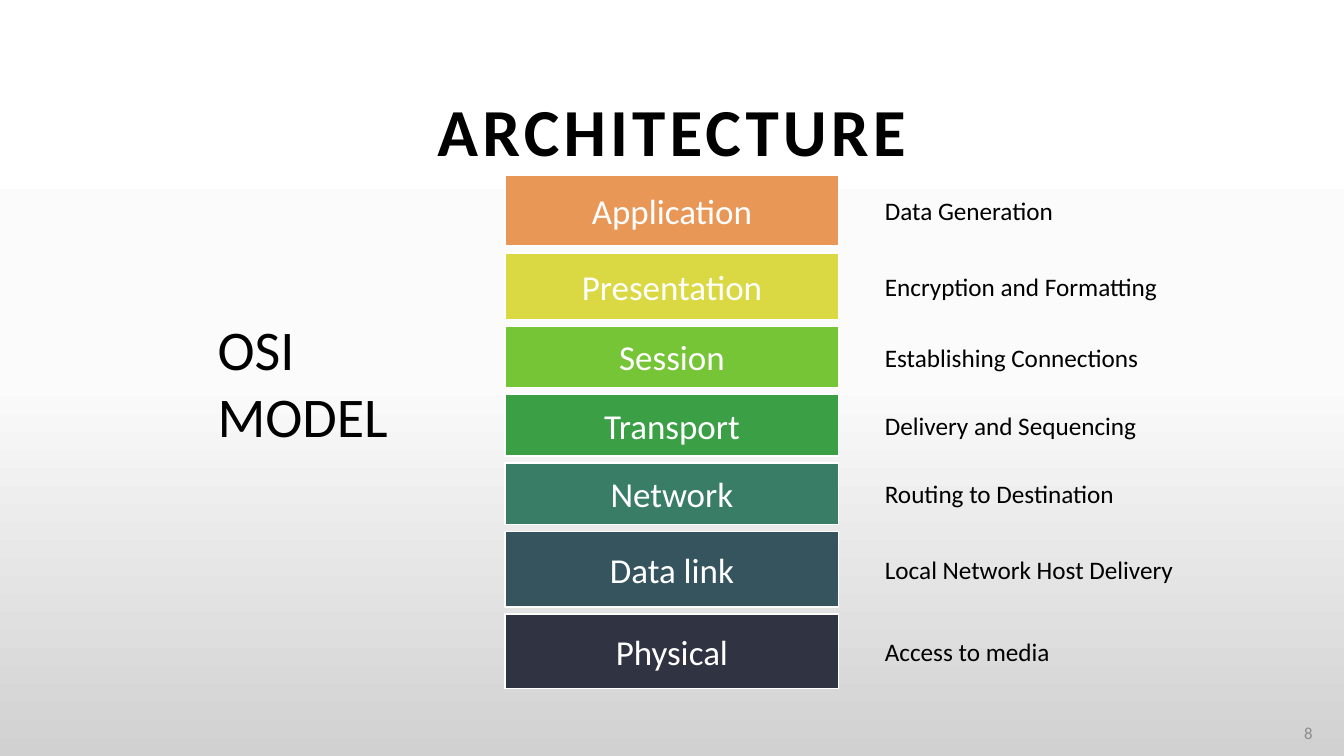
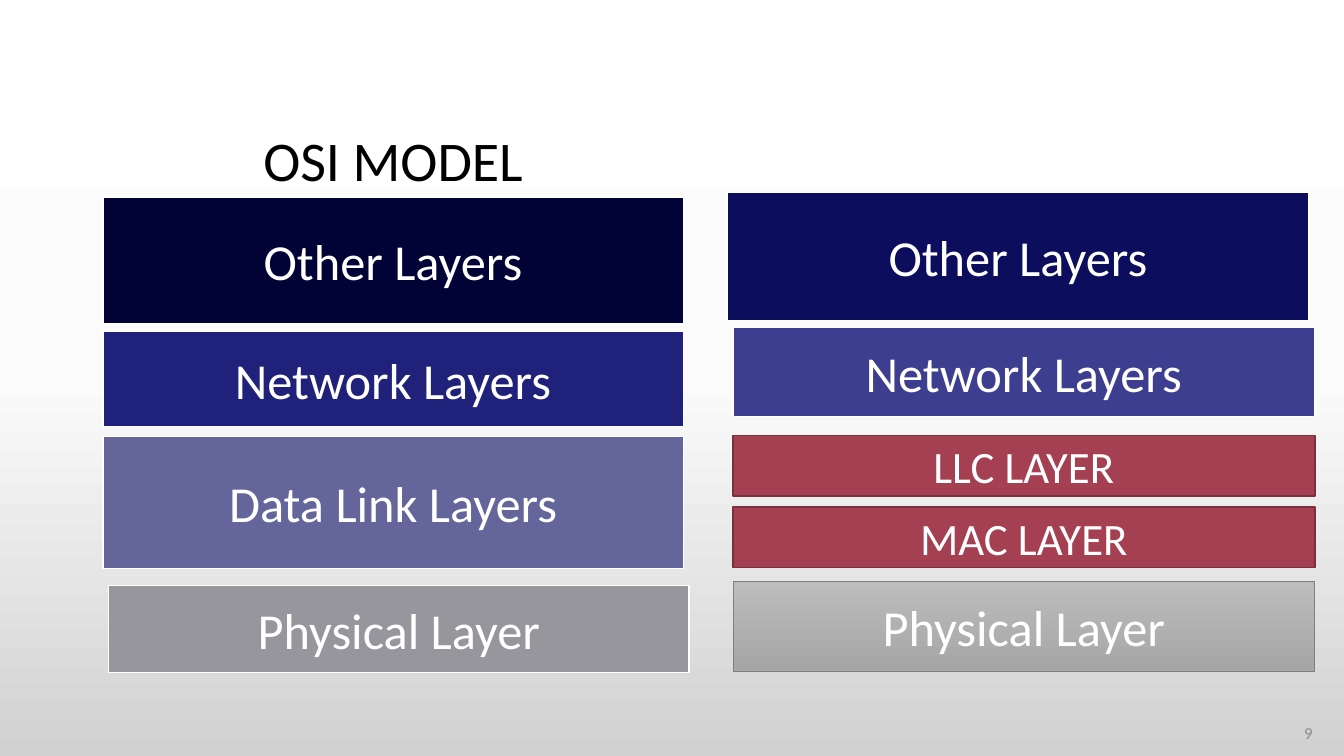
from copy import deepcopy
from dataclasses import dataclass

from pptx import Presentation
from pptx.dml.color import RGBColor
from pptx.enum.shapes import MSO_SHAPE
from pptx.enum.text import MSO_ANCHOR, MSO_AUTO_SIZE, PP_ALIGN
from pptx.util import Inches, Pt

RECT = MSO_SHAPE.RECTANGLE
MIDDLE = MSO_ANCHOR.MIDDLE
NO_FIT = MSO_AUTO_SIZE.NONE
LEFT, CENTER, RIGHT = PP_ALIGN.LEFT, PP_ALIGN.CENTER, PP_ALIGN.RIGHT

WIDTH, HEIGHT = Inches(13.33), Inches(7.5)
FONT = "Calibri"
BLACK, WHITE, MUTED = "000000", "FFFFFF", "8C8C8C"
BACKDROP = ("FFFFFF", "FBFBFB", "D1D1D1")
RED, DARK_RED = "A53F52", "7A2F3D"
TITLE_ONLY = 5
NUMBER_BOX = (94.73, 94.27, 3.68, 5.33)


@dataclass
class Band:
    label: str
    fill: tuple
    height: float
    gap: float = 0
    shift: float = 0
    size: float = 36
    line: str = WHITE
    line_width: float = 1


def rgb(color):
    return RGBColor.from_string(color)


def place(box):
    left, top, width, height = box
    return (int(WIDTH * left / 100), int(HEIGHT * top / 100),
            int(WIDTH * width / 100), int(HEIGHT * height / 100))


def paint(fill, colors):
    if len(colors) == 1:
        fill.solid()
        fill.fore_color.rgb = rgb(colors[0])
        return
    fill.gradient()
    fill.gradient_angle = 270
    for stop, color in zip(fill.gradient_stops, (colors[0], colors[-1])):
        stop.color.rgb = rgb(color)


def write(sp, text, size, color=BLACK, align=LEFT, bold=False):
    tf = sp.text_frame
    tf.text = text
    tf.word_wrap = True
    tf.auto_size = NO_FIT
    tf.vertical_anchor = MIDDLE
    p = tf.paragraphs[0]
    p.alignment = align
    r = p.runs[0]
    r.font.name = FONT
    r.font.size = Pt(size)
    r.font.bold = bold
    r.font.color.rgb = rgb(color)
    return r


def add_text(s, box, text, size, color=BLACK, align=LEFT):
    return write(s.shapes.add_textbox(*place(box)), text, size, color, align)


def set_backdrop(master):
    fill = master.background.fill
    paint(fill, BACKDROP)
    stops = master.element.xpath("./p:cSld/p:bg//a:gsLst")[0]
    stops.insert(1, deepcopy(stops[0]))
    for i, (stop, color) in enumerate(zip(fill.gradient_stops, BACKDROP)):
        stop.position = i / 2
        stop.color.rgb = rgb(color)


def add_slide(prs, number, title, title_box, size, bold=False):
    s = prs.slides.add_slide(prs.slide_layouts[TITLE_ONLY])
    sp = s.shapes.title
    sp.left, sp.top, sp.width, sp.height = place(title_box)
    r = write(sp, title, size, align=CENTER, bold=bold)
    add_text(s, NUMBER_BOX, str(number), 12, MUTED, RIGHT)
    return s, r


def band_rows(box, bands):
    left, top, width, height = box
    unit = height / sum(b.gap + b.height for b in bands)
    for b in bands:
        top += b.gap * unit
        yield b, (left + b.shift * width, top, width, b.height * unit)
        top += b.height * unit


def add_stack(s, box, bands):
    for b, row in band_rows(box, bands):
        sp = s.shapes.add_shape(RECT, *place(row))
        sp.shadow.inherit = False
        paint(sp.fill, b.fill)
        sp.line.color.rgb = rgb(b.line)
        sp.line.width = Pt(b.line_width)
        write(sp, b.label, b.size, WHITE, CENTER)


def add_captions(s, left, width, box, bands, captions):
    for (_, row), caption in zip(band_rows(box, bands), captions):
        add_text(s, (left, row[1], width, row[3]), caption, 18)


def architecture_slide(prs):
    s, r = add_slide(prs, 8, "ARCHITECTURE", (4.88, 11.2, 90.24, 12), 48, True)
    r.font._element.set("spc", "300")
    layers = [
        ("Application", "E99757", 70, "Data Generation"),
        ("Presentation", "DAD944", 66, "Encryption and Formatting"),
        ("Session", "76C536", 61, "Establishing Connections"),
        ("Transport", "3A9F45", 61, "Delivery and Sequencing"),
        ("Network", "397D67", 61, "Routing to Destination"),
        ("Data link", "36545E", 75, "Local Network Host Delivery"),
        ("Physical", "2F3342", 74, "Access to media"),
    ]
    bands = [Band(label, (color,), height, 7 if i else 0, size=25)
             for i, (label, color, height, _) in enumerate(layers)]
    box = (37.58, 23.2, 24.83, 67.87)
    add_stack(s, box, bands)
    add_captions(s, 65.1, 27, box, bands, [layer[-1] for layer in layers])
    add_text(s, (15.45, 40.8, 16.05, 19.33), "OSI MODEL", 40)


def comparison_slide(prs):
    osi_box = (7.65, 26.13, 43.2, 62.8)
    split_box = (54.53, 25.47, 43.3, 63.33)
    s, _ = add_slide(prs, 9, "OSI MODEL", (osi_box[0], 15.87, osi_box[2], 10.27), 40)
    add_stack(s, osi_box, [
        Band("Other Layers", ("010236",), 125),
        Band("Network Layers", ("20217B",), 94, 8),
        Band("Data Link Layers", ("64659B",), 131, 10),
        Band("Physical Layer", ("96969C",), 86, 17, shift=0.01),
    ])
    add_stack(s, split_box, [
        Band("Other Layers", ("0C0D5D",), 127, shift=-0.01),
        Band("Network Layers", ("3D3E90",), 88, 7),
        Band("LLC LAYER", (RED,), 60, 19, size=32, line=DARK_RED),
        Band("MAC LAYER", (RED,), 60, 11, size=32, line=DARK_RED),
        Band("Physical Layer", ("BCBCBC", "A6A6A6"), 89, 14,
             line="7F7F7F", line_width=0.5),
    ])


def main():
    prs = Presentation()
    prs.slide_width, prs.slide_height = WIDTH, HEIGHT
    set_backdrop(prs.slide_master)
    architecture_slide(prs)
    comparison_slide(prs)
    prs.save("out.pptx")


if __name__ == "__main__":
    main()
